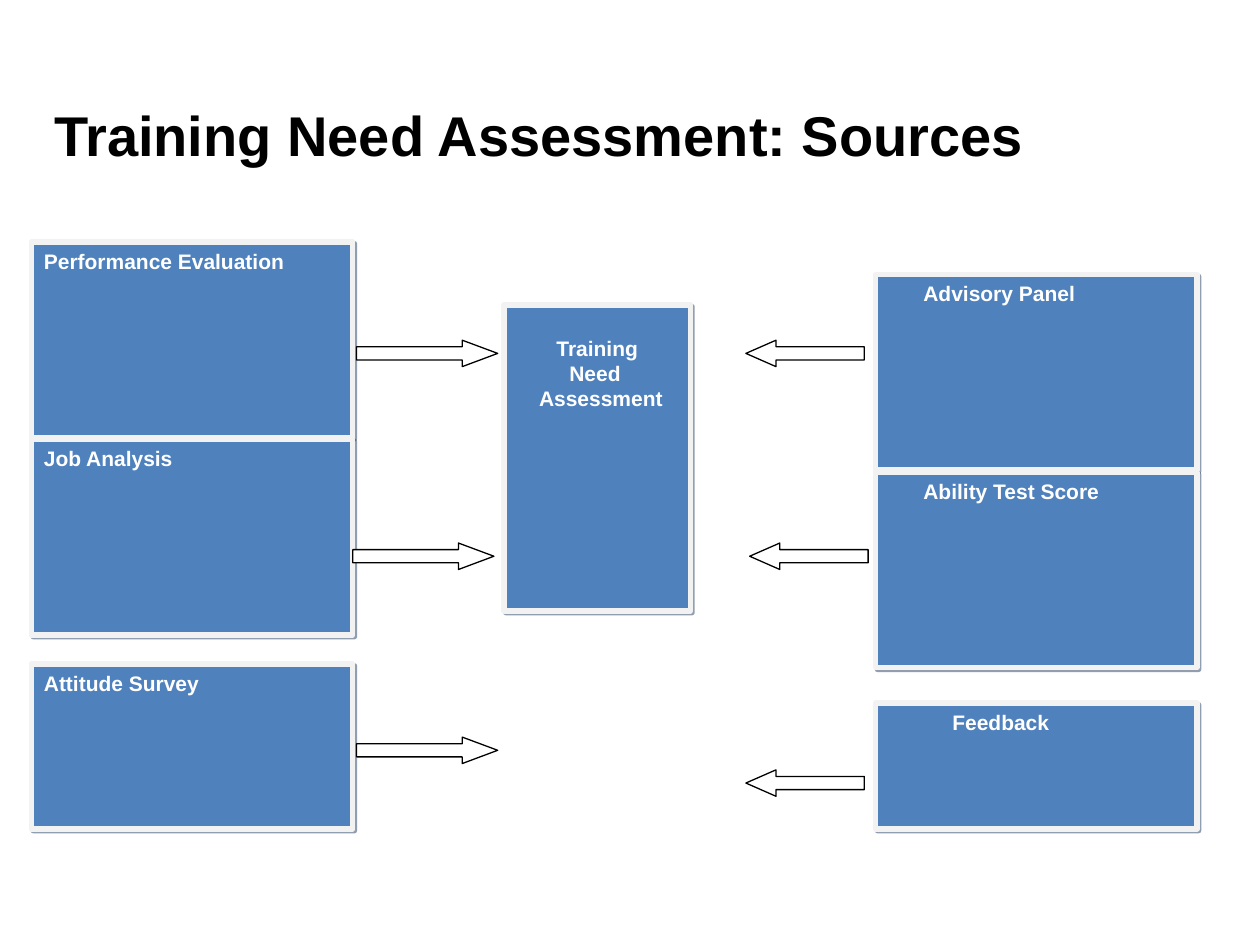
"""Build the slide on sources of training need assessment."""
from dataclasses import dataclass

from lxml.etree import SubElement
from pptx import Presentation
from pptx.dml.color import RGBColor
from pptx.enum.shapes import MSO_SHAPE
from pptx.enum.text import MSO_ANCHOR, MSO_AUTO_SIZE, PP_ALIGN
from pptx.oxml.ns import qn
from pptx.util import Pt

PX = 9144


@dataclass(frozen=True)
class Theme:
    font: str = "Arial"
    head: int = 32
    body: int = 12
    ink: str = "000000"
    white: str = "FFFFFF"
    blue: str = "4F81BD"
    edge: str = "F2F2F2"
    shade: str = "243F60"


theme = Theme()


def add_block(kind, rect, fill, edge, width):
    shape = slide.shapes.add_shape(kind, *[n * PX for n in rect])
    shape.shadow.inherit = False
    shape.fill.solid()
    shape.fill.fore_color.rgb = RGBColor.from_string(fill)
    shape.line.color.rgb = RGBColor.from_string(edge)
    shape.line.width = Pt(width)
    return shape


def add_run(para, text, size, color):
    run = para.add_run()
    run.text = text
    run.font.name = theme.font
    run.font.size = Pt(size)
    run.font.bold = True
    run.font.color.rgb = RGBColor.from_string(color)


deck = Presentation()
deck.slide_width, deck.slide_height = 1000 * PX, 750 * PX
slide = deck.slides.add_slide(deck.slide_layouts[5])

title = slide.shapes.title
title.left, title.top, title.width, title.height = [n * PX for n in (33, 50, 917, 113)]
frame = title.text_frame
frame.auto_size = MSO_AUTO_SIZE.NONE
frame.word_wrap = True
frame.vertical_anchor = MSO_ANCHOR.MIDDLE
frame.paragraphs[0].alignment = PP_ALIGN.LEFT
add_run(frame.paragraphs[0], "Training Need Assessment: Sources", theme.head, theme.ink)

LEFT, RIGHT, WIDE, TALL = 25, 695, 255, 155
CARD = MSO_SHAPE.FLOWCHART_PROCESS
boxes = [
    (MSO_SHAPE.RECTANGLE, (400, 242, 148, 243), 24,
     [("Training", None), ("Need", 42), ("Assessment", 18)]),
    (CARD, (RIGHT, 218, WIDE, TALL), 5, [("Advisory Panel", 28)]),
    (CARD, (RIGHT, 375, WIDE, TALL), 5, [("Ability Test Score", 28)]),
    (CARD, (RIGHT, 558, WIDE, 100), 5, [("Feedback", 51)]),
    (CARD, (LEFT, 192, WIDE, TALL), 5, [("Performance Evaluation", 0)]),
    (CARD, (LEFT, 349, WIDE, TALL), 5, [("Job Analysis", 0)]),
    (CARD, (LEFT, 527, WIDE, 131), 5, [("Attitude Survey", 0)]),
]
for kind, rect, inset, lines in boxes:
    box = add_block(kind, rect, theme.blue, theme.edge, 3)
    effects = box._element.spPr.find(qn("a:effectLst"))
    shadow = SubElement(effects, qn("a:outerShdw"), dist="17780", dir="2700000",
                        algn="ctr", rotWithShape="0")
    tint = SubElement(shadow, qn("a:srgbClr"), val=theme.shade)
    SubElement(tint, qn("a:alpha"), val="50000")
    frame = box.text_frame
    frame.word_wrap = True
    frame.vertical_anchor = MSO_ANCHOR.TOP
    frame.margin_left = frame.margin_right = 10 * PX
    frame.margin_top, frame.margin_bottom = inset * PX, 5 * PX
    for i, (text, indent) in enumerate(lines):
        para = frame.add_paragraph() if i else frame.paragraphs[0]
        para.alignment = PP_ALIGN.CENTER if indent is None else PP_ALIGN.LEFT
        if indent:
            para._p.get_or_add_pPr().set("marL", str(indent * PX))
        add_run(para, text, theme.body, theme.white)

arrows = [
    (MSO_SHAPE.LEFT_ARROW, 94, 1.14, [(592, 270), (592, 611), (595, 431)]),
    (MSO_SHAPE.RIGHT_ARROW, 112, 1.34, [(283, 270), (280, 431), (283, 585)]),
]
for kind, width, point, spots in arrows:
    for left, top in spots:
        arrow = add_block(kind, (left, top, width, 21), theme.white, theme.ink, 0.75)
        arrow.adjustments[0] = 0.5
        arrow.adjustments[1] = point

deck.save("out.pptx")
